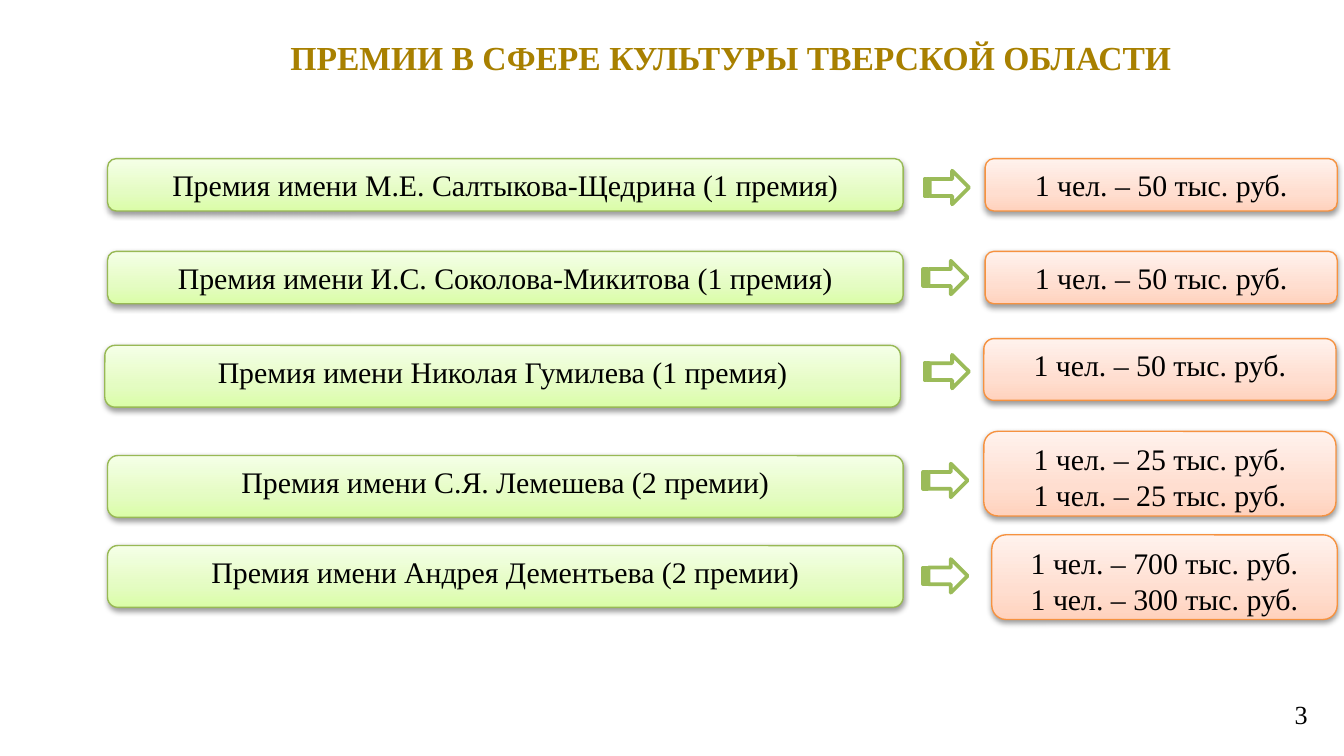
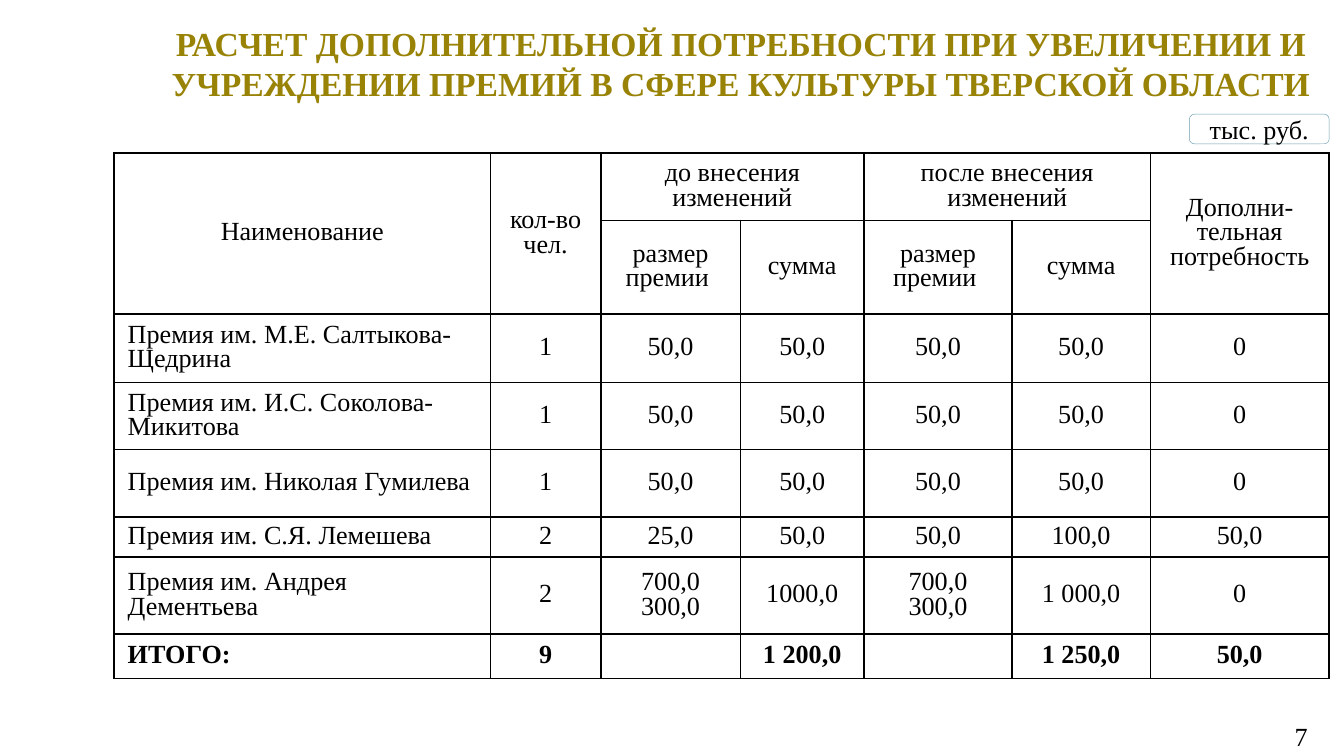
import pptx
import pptx.dml.color
import pptx.enum.shapes
import pptx.enum.text
import pptx.oxml
import pptx.oxml.ns
import pptx.util

Inches = pptx.util.Inches
Pt = pptx.util.Pt
RGB = pptx.dml.color.RGBColor
Kind = pptx.enum.shapes.MSO_SHAPE
Align = pptx.enum.text.PP_ALIGN
Anchor = pptx.enum.text.MSO_ANCHOR
qn = pptx.oxml.ns.qn
NS = pptx.oxml.ns.nsdecls("a")

FONT = "Times New Roman"
BLACK = RGB(0x00, 0x00, 0x00)
WHITE = RGB(0xFF, 0xFF, 0xFF)
GOLD = RGB(0xA8, 0x80, 0x00)
OLIVE = RGB(0x99, 0x83, 0x07)
LEAF = RGB(0x9B, 0xBB, 0x59)
TEAL = RGB(0x6E, 0xA0, 0xB0)
# Line colour, then gradient colours from bottom to top
GREEN = (RGB(0x98, 0xB9, 0x55),
         (RGB(0xDA, 0xFD, 0xA7), RGB(0xE4, 0xFC, 0xC2), RGB(0xF5, 0xFF, 0xE7)))
PEACH = (RGB(0xF6, 0x92, 0x40),
         (RGB(0xFF, 0xD2, 0xBD), RGB(0xFF, 0xDE, 0xD0), RGB(0xFF, 0xF2, 0xED)))
STOPS = (0, 35, 100)

# Award, its left, top and height; arrow left and top; sum, its left, top, width and height
AWARDS = [
    ("Премия имени М.Е. Салтыкова-Щедрина (1 премия)", 0.8, 1.18, 0.39,
     6.88, 1.27, "1 чел. – 50 тыс. руб.", 7.33, 1.18, 2.62, 0.39),
    ("Премия имени И.С. Соколова-Микитова (1 премия)", 0.8, 1.87, 0.39,
     6.87, 1.94, "1 чел. – 50 тыс. руб.", 7.33, 1.87, 2.62, 0.39),
    ("Премия имени Николая Гумилева (1 премия)", 0.78, 2.57, 0.46,
     6.88, 2.64, "1 чел. – 50 тыс. руб.", 7.32, 2.52, 2.62, 0.46),
    ("Премия имени С.Я. Лемешева (2 премии)", 0.8, 3.39, 0.46,
     6.87, 3.45, "1 чел. – 25 тыс. руб.\n1 чел. – 25 тыс. руб.", 7.32, 3.21, 2.62, 0.63),
    ("Премия имени Андрея Дементьева (2 премии)", 0.8, 4.06, 0.46,
     6.87, 4.16, "1 чел. – 700 тыс. руб.\n1 чел. – 300 тыс. руб.", 7.38, 3.98, 2.57, 0.63),
]

COLS = (2.8, 0.82, 1.04, 0.92, 1.1, 1.03, 1.33)
ROWS = (0.5, 0.5, 0.51, 0.5, 0.5, 0.3, 0.57, 0.3)
SPANS = [(0, 0, 1, 0), (0, 1, 1, 1), (0, 2, 0, 3), (0, 4, 0, 5), (0, 6, 1, 6)]
SUMS = [
    ("Наименование", "кол-во чел.", "до внесения изменений", "",
     "после внесения изменений", "", "Дополни-тельная потребность"),
    ("", "", "размер премии ", "сумма", "размер премии ", "сумма", ""),
    ("Премия им. М.Е. Салтыкова-Щедрина", "1", "50,0", "50,0", "50,0", "50,0", "0"),
    ("Премия им. И.С. Соколова-Микитова", "1", "50,0", "50,0", "50,0", "50,0", "0"),
    ("Премия им. Николая Гумилева", "1", "50,0", "50,0", "50,0", "50,0", "0"),
    ("Премия им. С.Я. Лемешева", "2", "25,0", "50,0", "50,0", "100,0", "50,0"),
    ("Премия им. Андрея Дементьева", "2", "700,0\n300,0", "1000,0",
     "700,0\n300,0", "1 000,0", "0"),
    ("ИТОГО:", "9", "", "1 200,0", "", "1 250,0", "50,0"),
]


def write(frame, text, size=14, color=BLACK, bold=False, align=Align.CENTER,
          space=None, anchor=Anchor.TOP, inset=None):
    """Fill a text frame, one paragraph per line of text."""
    frame.word_wrap = True
    frame.vertical_anchor = anchor
    if inset:
        frame.margin_left = frame.margin_right = Inches(inset[0])
        frame.margin_top = frame.margin_bottom = Inches(inset[1])
    for i, line in enumerate(text.split("\n")):
        para = frame.add_paragraph() if i else frame.paragraphs[0]
        para.alignment = align
        para.space_before = Pt(0)
        if space:
            para.line_spacing = space
        if not line:
            para._p.append(pptx.oxml.parse_xml(
                f'<a:endParaRPr {NS} sz="{size * 100}"/>'))
            continue
        run = para.add_run()
        run.text = line
        run.font.name = FONT
        run.font.size = Pt(size)
        run.font.bold = bold
        run.font.color.rgb = color


def edge(cell, color=BLACK, width=1):
    """Draw all four borders of a cell."""
    props = cell._tc.get_or_add_tcPr()
    for side in "LRTB":
        props.append(pptx.oxml.parse_xml(
            f'<a:ln{side} {NS} w="{Pt(width)}"><a:solidFill>'
            f'<a:srgbClr val="{color}"/></a:solidFill></a:ln{side}>'))


class Deck:
    def __init__(self):
        self.show = pptx.Presentation()
        self.show.slide_width = Inches(10)
        self.show.slide_height = Inches(10 * 9 / 16)
        self.slide = None

    def page(self, title, box, color, inset, space=None):
        self.slide = self.show.slides.add_slide(self.show.slide_layouts[5])
        head = self.slide.shapes.title
        head.left, head.top, head.width, head.height = map(Inches, box)
        head.text_frame.auto_size = pptx.enum.text.MSO_AUTO_SIZE.NONE
        write(head.text_frame, title, size=18, color=color, bold=True,
              inset=inset, space=space)

    def number(self, text, top, height):
        box = self.slide.shapes.add_textbox(
            Inches(7.07), Inches(top), Inches(2.73), Inches(height))
        write(box.text_frame, text, align=Align.RIGHT, inset=(0.07, 0.04))

    def shape(self, kind, box, line, width):
        item = self.slide.shapes.add_shape(kind, *map(Inches, box))
        item.shadow.inherit = False
        item.fill.solid()
        item.fill.fore_color.rgb = WHITE
        item.line.color.rgb = line
        item.line.width = Pt(width)
        return item

    def card(self, text, box, style):
        """Add a rounded box with gradient and soft shadow."""
        line, shades = style
        item = self.shape(Kind.ROUNDED_RECTANGLE, box, line, 0.75)
        item.fill.gradient()
        item.fill.gradient_angle = 90
        props = item._element.spPr
        stops = props.find(".//" + qn("a:gsLst"))
        for stop in list(stops):
            stops.remove(stop)
        for place, shade in zip(STOPS, shades):
            stops.append(pptx.oxml.parse_xml(
                f'<a:gs {NS} pos="{place * 1000}"><a:srgbClr val="{shade}"/></a:gs>'))
        props.find(qn("a:effectLst")).append(pptx.oxml.parse_xml(
            f'<a:outerShdw {NS} blurRad="{Pt(3.1)}" dist="{Pt(1.6)}" dir="5400000" '
            'rotWithShape="0"><a:srgbClr val="000000"><a:alpha val="38000"/>'
            '</a:srgbClr></a:outerShdw>'))
        write(item.text_frame, text, size=16, inset=(0.08, 0.04))

    def arrow(self, left, top):
        self.shape(Kind.STRIPED_RIGHT_ARROW, (left, top, 0.33, 0.25), LEAF, 2)

    def badge(self, text, box):
        item = self.shape(Kind.ROUNDED_RECTANGLE, box, TEAL, 0.25)
        write(item.text_frame, text, anchor=Anchor.MIDDLE)

    def table(self, left, top):
        grid = self.slide.shapes.add_table(
            len(ROWS), len(COLS), Inches(left), Inches(top),
            Inches(sum(COLS)), Inches(sum(ROWS))).table
        grid.first_row = grid.horz_banding = False
        for col, width in zip(grid.columns, COLS):
            col.width = Inches(width)
        for row, height in zip(grid.rows, ROWS):
            row.height = Inches(height)
        for r1, c1, r2, c2 in SPANS:
            grid.cell(r1, c1).merge(grid.cell(r2, c2))
        last = len(SUMS) - 1
        for r, row in enumerate(SUMS):
            for c, text in enumerate(row):
                cell = grid.cell(r, c)
                edge(cell)
                cell.fill.background()
                cell.vertical_anchor = Anchor.MIDDLE
                name = c == 0 and r > 1
                write(cell.text_frame, text, bold=r == last, space=0.85,
                      align=Align.LEFT if name else Align.CENTER,
                      anchor=Anchor.MIDDLE)


def main():
    deck = Deck()
    deck.page("ПРЕМИИ В СФЕРЕ КУЛЬТУРЫ ТВЕРСКОЙ ОБЛАСТИ",
              (0.81, 0.28, 9.26, 0.34), GOLD, (0.06, 0.03), space=0.9)
    for award, left, top, height, tip, mid, prize, *box in AWARDS:
        deck.card(award, (left, top, 5.92, height), GREEN)
        deck.arrow(tip, mid)
        deck.card(prize, box, PEACH)
    deck.number("3", 5.16, 0.39)

    deck.page("РАСЧЕТ ДОПОЛНИТЕЛЬНОЙ ПОТРЕБНОСТИ ПРИ УВЕЛИЧЕНИИ И "
              "УЧРЕЖДЕНИИ ПРЕМИЙ В СФЕРЕ КУЛЬТУРЫ ТВЕРСКОЙ ОБЛАСТИ",
              (1.16, 0.13, 8.71, 0.95), OLIVE, (0.07, 0.04))
    deck.number("7", 5.32, 0.2)
    deck.table(0.85, 1.14)
    deck.badge("тыс. руб.", (8.85, 0.85, 1.04, 0.22))
    deck.show.save("out.pptx")


if __name__ == "__main__":
    main()
